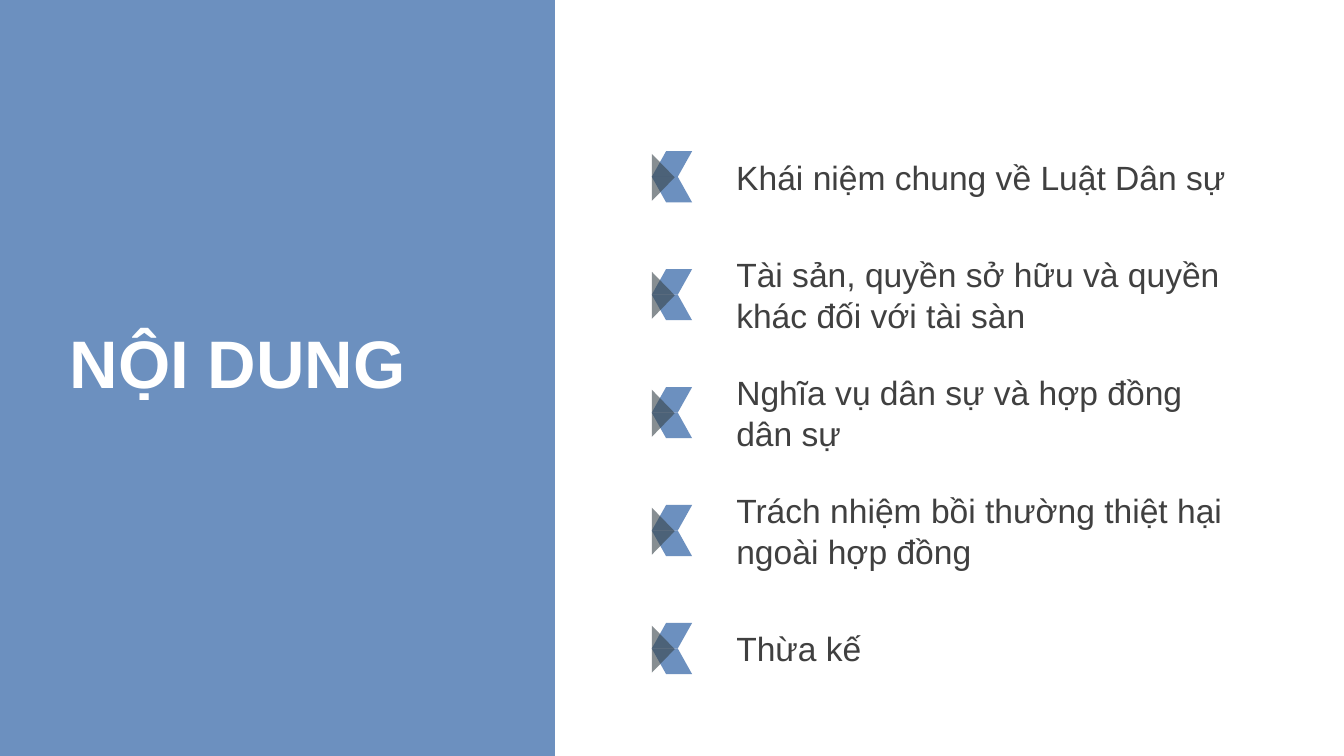
from pptx import Presentation
from pptx.dml.color import RGBColor
from pptx.enum.shapes import MSO_SHAPE
from pptx.enum.text import MSO_ANCHOR
from pptx.oxml.ns import qn
from pptx.util import Inches, Pt
from lxml import etree

RECTANGLE = MSO_SHAPE.RECTANGLE
PARALLELOGRAM = MSO_SHAPE.PARALLELOGRAM
TRIANGLE = MSO_SHAPE.ISOSCELES_TRIANGLE
TOP, MIDDLE = MSO_ANCHOR.TOP, MSO_ANCHOR.MIDDLE

WIDTH = 10
HEIGHT = WIDTH * 9 / 16
BLUE, SLATE, WHITE, GREY = "5E85B9", "38444A", "FFFFFF", "404040"
FONT = "Arial"

# Agenda grid: one icon column, one text column, evenly spaced rows
FIRST_ROW, LAST_ROW = 1.06, 4.57
ROW_HEIGHT = 0.51
ICON_LEFT, TEXT_LEFT = 4.85, 5.38
WING_WIDTH, WING_HEIGHT = 0.3, 0.19

TOPICS = [
    "Khái niệm chung về Luật Dân sự",
    "Tài sản, quyền sở hữu và quyền khác đối với tài sàn",
    "Nghĩa vụ dân sự và hợp đồng dân sự",
    "Trách nhiệm bồi thường thiệt hại ngoài hợp đồng",
    "Thừa kế",
]


def color(hex_string):
    return RGBColor.from_string(hex_string)


def add_filled_shape(shapes, kind, box, fill, opacity):
    shape = shapes.add_shape(kind, *(Inches(length) for length in box))
    shape.shadow.inherit = False
    shape.line.fill.background()
    shape.fill.solid()
    shape.fill.fore_color.rgb = color(fill)
    fill_element = shape._element.spPr.find(qn("a:solidFill"))
    alpha = etree.SubElement(fill_element[0], qn("a:alpha"))
    alpha.set("val", str(opacity * 1000))
    return shape


def add_text(slide, text, box, size, font_color, bold=False, anchor=MIDDLE):
    shape = slide.shapes.add_textbox(*(Inches(length) for length in box))
    text_frame = shape.text_frame
    text_frame.word_wrap = True
    text_frame.vertical_anchor = anchor
    text_frame.margin_left = text_frame.margin_right = Inches(0.1)
    text_frame.margin_top = text_frame.margin_bottom = Inches(0.1)
    text_frame.text = text
    font = text_frame.paragraphs[0].runs[0].font
    font.name, font.size, font.bold = FONT, Pt(size), bold
    font.color.rgb = color(font_color)


def add_icon(slide, center):
    """Two mirrored wings with a dark arrow pointing right over them."""
    shapes = slide.shapes.add_group_shape().shapes
    for index in range(2):
        wing_top = center + (index - 1) * WING_HEIGHT
        box = (ICON_LEFT, wing_top, WING_WIDTH, WING_HEIGHT)
        wing = add_filled_shape(shapes, PARALLELOGRAM, box, BLUE, 91)
        wing.adjustments[0] = 0.56
    wing._element.spPr.find(qn("a:xfrm")).set("flipH", "1")
    arrow_box = (ICON_LEFT - 0.09, center - 0.08, 0.35, 0.17)
    arrow = add_filled_shape(shapes, TRIANGLE, arrow_box, SLATE, 60)
    arrow.rotation = 90


def main():
    presentation = Presentation()
    presentation.slide_width = Inches(WIDTH)
    presentation.slide_height = Inches(HEIGHT)
    slide = presentation.slides.add_slide(presentation.slide_layouts[6])

    # Left panel with the title
    add_filled_shape(slide.shapes, RECTANGLE, (0, 0, 4.13, HEIGHT), BLUE, 91)
    add_text(slide, "NỘI DUNG", (0.42, 2.29, 3.92, 1.93), 36, WHITE, True, TOP)

    # Agenda rows
    row_step = (LAST_ROW - FIRST_ROW) / (len(TOPICS) - 1)
    for index, topic in enumerate(TOPICS):
        row_top = FIRST_ROW + index * row_step
        text_width = 4.3 if index == 0 else 3.85
        add_icon(slide, row_top + ROW_HEIGHT / 2)
        add_text(slide, topic, (TEXT_LEFT, row_top, text_width, ROW_HEIGHT), 18, GREY)

    presentation.save("out.pptx")


if __name__ == "__main__":
    main()
